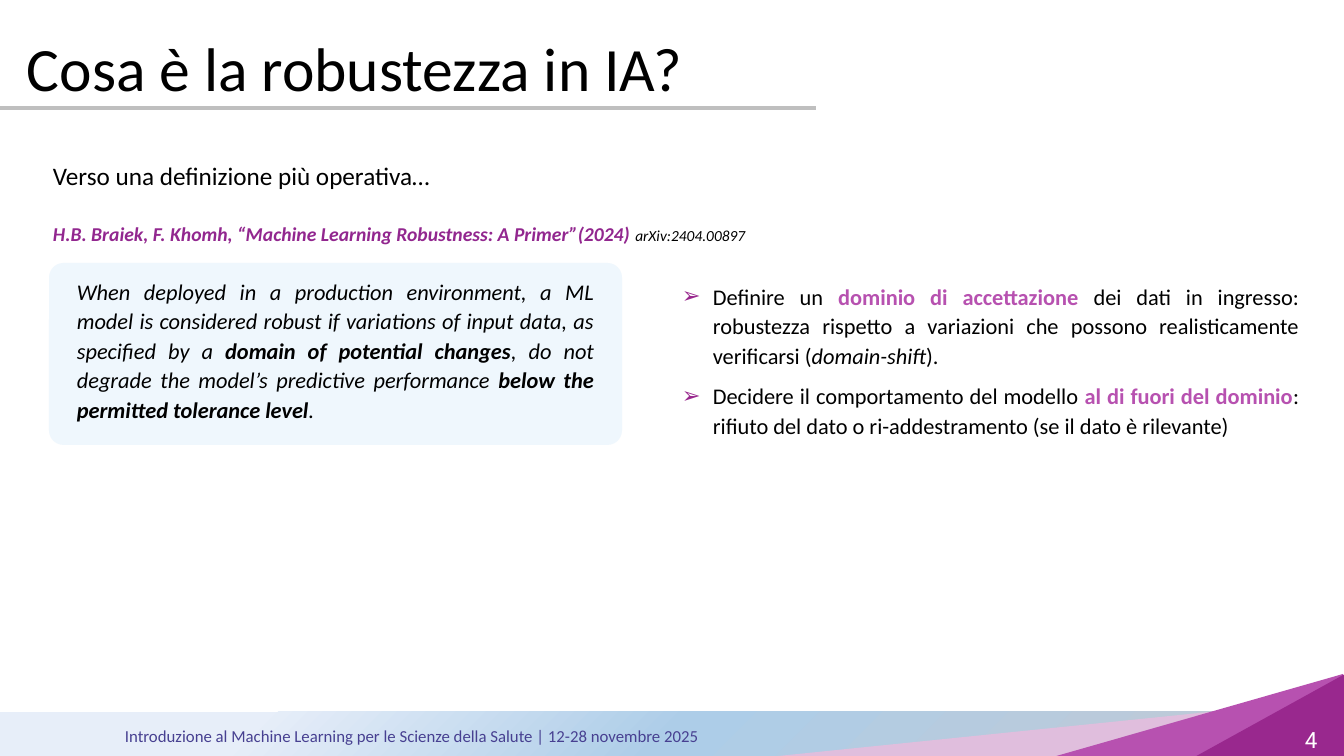
from lxml.etree import SubElement
from pptx import Presentation
from pptx.dml.color import RGBColor
from pptx.enum.shapes import MSO_CONNECTOR, MSO_SHAPE
from pptx.enum.text import MSO_ANCHOR, PP_ALIGN
from pptx.oxml.ns import qn
from pptx.util import Pt

SCALE = 914400 / 100.8  # EMU in one px
COLORS = {
    "black": "000000", "white": "FFFFFF", "rule": "BFBFBF",
    "footer": "474091", "cite": "92278F", "card": "DAEDFB",
    "pale": "E0BEDD", "pink": "B751B0", "plum": "99288E",
    "gray": "C3C8D2", "sky": "ADCDE8", "ice": "E7EEF9",
}


def px(*nums):
    return [round(n * SCALE) for n in nums]


def rgb(name):
    return RGBColor.from_string(COLORS[name])


def add_text(slide, box, paras, size=16, color="black", font="Calibri",
             bold=False, italic=False, align=PP_ALIGN.LEFT, line=1.0,
             after=0, bullet=None, anchor=MSO_ANCHOR.TOP):
    """Each paragraph is a list of (text, changes to the run format)."""
    frame = slide.shapes.add_textbox(*px(*box)).text_frame
    frame.word_wrap = True
    frame.vertical_anchor = anchor
    if isinstance(paras, str):
        paras = [[(paras, {})]]
    for i, runs in enumerate(paras):
        para = frame.add_paragraph() if i else frame.paragraphs[0]
        para.alignment, para.line_spacing = align, line
        para.space_after = Pt(after)
        if bullet:
            add_bullet(para, bullet)
        for text, diff in runs:
            look = {"size": size, "color": color, "bold": bold,
                    "italic": italic, **diff}
            run = para.add_run()
            run.text = text
            run.font.name = font
            run.font.size = Pt(look["size"])
            run.font.bold, run.font.italic = look["bold"], look["italic"]
            run.font.color.rgb = rgb(look["color"])


def add_bullet(para, char, indent=31, color="plum"):
    props = para._p.get_or_add_pPr()
    left, = px(indent)
    props.set("marL", str(left))
    props.set("indent", str(-left))
    tint = SubElement(props, qn("a:buClr"))
    SubElement(tint, qn("a:srgbClr"), val=COLORS[color])
    SubElement(props, qn("a:buFont"), typeface="Arial")
    SubElement(props, qn("a:buChar"), char=char)


def add_block(slide, kind, box, color, alpha=None):
    shape = slide.shapes.add_shape(kind, *px(*box))
    shape.shadow.inherit = False
    shape.line.fill.background()
    shape.fill.solid()
    shape.fill.fore_color.rgb = rgb(color)
    if alpha:
        tint = shape._element.spPr.find(qn("a:solidFill"))[0]
        SubElement(tint, qn("a:alpha"), val=str(alpha * 1000))
    return shape


def add_glow(shape, stops):
    """Round gradient that spreads from the bottom right corner."""
    fill = shape._element.spPr.find(qn("a:solidFill"))
    grad = fill.makeelement(qn("a:gradFill"), {"rotWithShape": "1"})
    fill.getparent().replace(fill, grad)
    stop_list = SubElement(grad, qn("a:gsLst"))
    for pos, color in stops:
        stop = SubElement(stop_list, qn("a:gs"), pos=str(pos * 1000))
        SubElement(stop, qn("a:srgbClr"), val=COLORS[color])
    shade = SubElement(grad, qn("a:path"))
    shade.set("path", "circle")
    SubElement(shade, qn("a:fillToRect"), l="100000", t="100000")


def add_wedge(slide, box, color):
    shape = add_block(slide, MSO_SHAPE.RIGHT_TRIANGLE, box, color)
    shape.rotation = 180
    shape._element.spPr.find(qn("a:xfrm")).set("flipV", "1")


def add_rule(slide, ends, color, width):
    rule = slide.shapes.add_connector(MSO_CONNECTOR.STRAIGHT, *px(*ends))
    rule.line.color.rgb = rgb(color)
    rule.line.width = Pt(width)
    SubElement(rule._element.spPr, qn("a:effectLst"))


def main():
    deck = Presentation()
    deck.slide_width, deck.slide_height = px(1344, 756)
    slide = deck.slides.add_slide(deck.slide_layouts[6])

    # Footer band
    band = add_block(slide, MSO_SHAPE.RECTANGLE, (-1, 712, 1344, 44), "ice")
    add_glow(band, [(0, "gray"), (50, "sky"), (81, "ice")])
    for box, color in [((749, 706, 519, 53), "pale"),
                       ((1046, 674, 297, 85), "pink"),
                       ((1191, 674, 154, 85), "plum")]:
        add_wedge(slide, box, color)
    add_text(slide, (115, 721, 690, 30),
             "Introduzione al Machine Learning per le Scienze della Salute"
             " | 12-28 novembre 2025", size=12, color="footer")
    add_text(slide, (1295, 721, 60, 40), "4", font="Roboto", color="white")

    # Title
    add_text(slide, (17, 28, 1344, 88), "Cosa è la robustezza in IA?",
             size=44, line=0.9, anchor=MSO_ANCHOR.MIDDLE)
    add_rule(slide, (0, 108, 816, 108), "rule", 2.25)

    # Lead and citation
    add_text(slide, (43, 155, 414, 40),
             "Verso una definizione più operativa…", size=18)
    add_text(slide, (43, 217, 869, 34), [[
        ("H.B. Braiek, F. Khomh, “Machine Learning Robustness: A Primer”"
         "(2024) ", {"size": 14, "color": "cite", "bold": True}),
        ("arXiv:2404.00897", {"size": 11})]], italic=True)

    # Definition card
    card = add_block(slide, MSO_SHAPE.ROUNDED_RECTANGLE,
                     (49, 263, 573, 182), "card", alpha=43)
    card.adjustments[0] = 0.08
    strong = {"bold": True}
    add_text(slide, (67, 270, 537, 158), [[
        ("When deployed in a production environment, a ML model is considered"
         " robust if variations of input data, as specified by a ", {}),
        ("domain of potential changes", strong),
        (", do not degrade the model’s predictive performance ", {}),
        ("below the permitted tolerance level", strong),
        (".", {})]], italic=True, align=PP_ALIGN.JUSTIFY, line=1.1)

    # Operative steps
    key = {"bold": True, "color": "pink"}
    add_text(slide, (672, 275, 637, 169), [
        [("Definire un ", {}),
         ("dominio di accettazione ", key),
         ("dei dati in ingresso: robustezza rispetto a variazioni che possono"
          " realisticamente verificarsi (", {}),
         ("domain-shift", {"italic": True}),
         (").", {})],
        [("Decidere il comportamento del modello ", {}),
         ("al di fuori del dominio", key),
         (": rifiuto del dato o ri-addestramento (se il dato è rilevante)",
          {})],
    ], align=PP_ALIGN.JUSTIFY, line=1.1, after=8, bullet="➢")

    deck.save("out.pptx")


if __name__ == "__main__":
    main()
